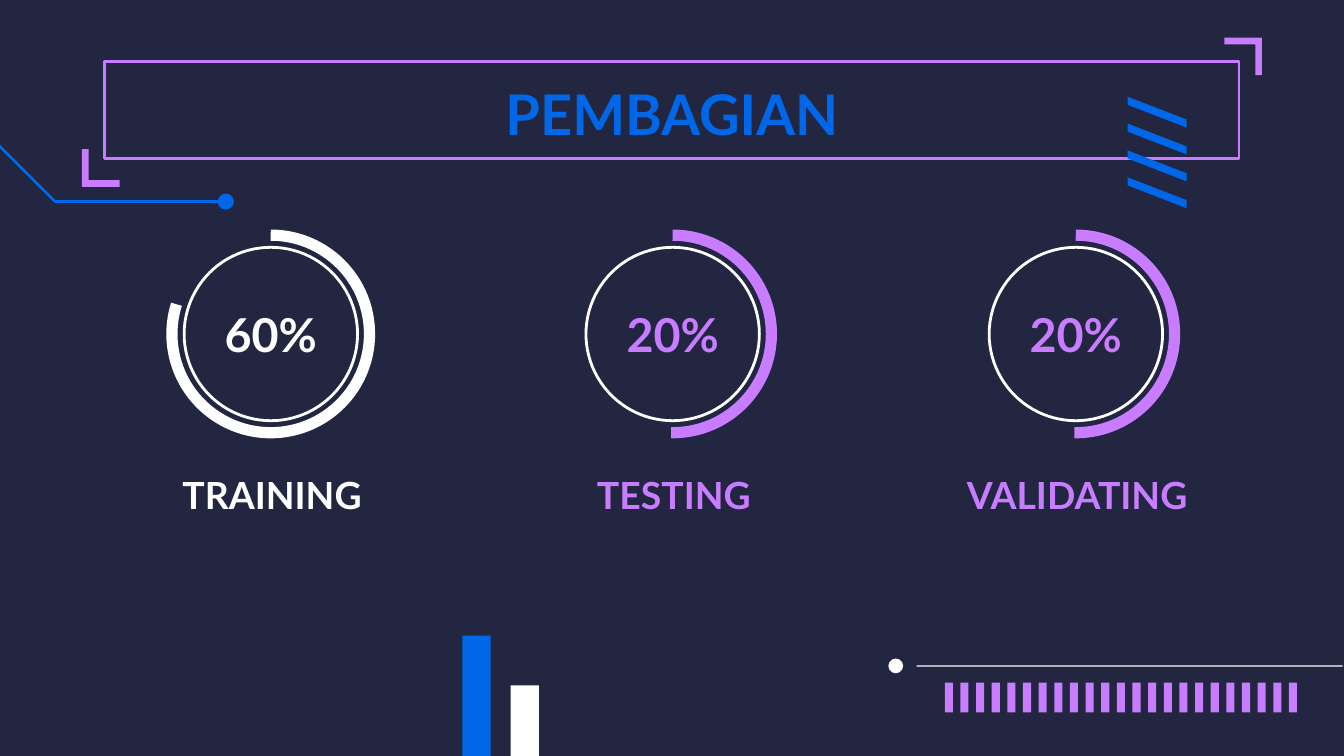
from pptx import Presentation
from pptx import util as u
from pptx.dml.color import RGBColor
from pptx.enum import shapes, text

Inches = u.Inches
COLORS = {"night": "222640", "blue": "0068E8", "violet": "C87CFF", "white": "FFFFFF"}
KIND = shapes.MSO_SHAPE
ANCHOR = text.MSO_ANCHOR


def paint(sp, fill=None, line=None, width=1.5):
    sp.shadow.inherit = False
    if fill:
        sp.fill.solid()
        sp.fill.fore_color.rgb = RGBColor.from_string(COLORS[fill])
    else:
        sp.fill.background()
    if line:
        sp.line.color.rgb = RGBColor.from_string(COLORS[line])
        sp.line.width = u.Pt(width)
    else:
        sp.line.fill.background()


def add_text(words, box, size, color, anchor=ANCHOR.TOP):
    tf = s.shapes.add_textbox(*map(Inches, box)).text_frame
    tf.word_wrap = True
    tf.vertical_anchor = anchor
    tf.margin_left = tf.margin_right = tf.margin_top = tf.margin_bottom = Inches(0.1)
    p = tf.paragraphs[0]
    p.alignment = text.PP_ALIGN.CENTER
    r = p.add_run()
    r.text = words
    r.font.name = "Lato"
    r.font.size = u.Pt(size)
    r.font.bold = True
    r.font.color.rgb = RGBColor.from_string(COLORS[color])


prs = Presentation()
prs.slide_width, prs.slide_height = Inches(10), Inches(10 * 9 / 16)
s = prs.slides.add_slide(prs.slide_layouts[6])
s.background.fill.solid()
s.background.fill.fore_color.rgb = RGBColor.from_string(COLORS["night"])

# Bars, dots, thin rule and title frame
for kind, box, fill, line in [
    (KIND.RECTANGLE, (3.44, 4.73, 0.21, 1.17), "blue", None),
    (KIND.RECTANGLE, (3.8, 5.1, 0.21, 1.17), "white", None),
    (KIND.OVAL, (1.62, 1.44, 0.12, 0.12), "blue", None),
    (KIND.RECTANGLE, (6.82, 4.95, 3.17, 0.01), "white", None),
    (KIND.OVAL, (6.61, 4.9, 0.11, 0.11), "white", None),
    (KIND.RECTANGLE, (0.78, 0.46, 8.44, 0.72), None, "violet"),
]:
    sp = s.shapes.add_shape(kind, *map(Inches, box))
    paint(sp, fill, line)

# Outlines made of one or more contours
tick_gap = (9.59 - 7.03) / 22
lefts = [7.03 + i * tick_gap for i in range(23)]
ticks = [[(x, 5.08), (x, 5.3), (x + 0.06, 5.3), (x + 0.06, 5.08)] for x in lefts]
tops = [0.72 + 0.2 * i for i in range(4)]
slashes = [[(8.39, y), (8.39, y + 0.06), (8.83, y + 0.23), (8.83, y + 0.17)] for y in tops]
bracket = [(0.61, 1.11), (0.61, 1.39), (0.89, 1.39), (0.89, 1.34), (0.66, 1.34), (0.66, 1.11)]
opposite = [(10 - x, 1.67 - y) for x, y in bracket]
elbow = [(-1.05, 0.04), (0.41, 1.5), (1.68, 1.5)]

for contours, fill, line in [
    ([elbow], None, "blue"),
    (ticks, "violet", None),
    ([bracket], "violet", None),
    ([opposite], "violet", None),
    (slashes, "blue", None),
]:
    builder = None
    for contour in contours:
        points = [(Inches(x), Inches(y)) for x, y in contour]
        if builder is None:
            builder = s.shapes.build_freeform(*points[0])
        else:
            builder.move_to(*points[0])
        builder.add_line_segments(points[1:], close=fill is not None)
    paint(builder.convert_to_shape(), fill, line)

add_text("PEMBAGIAN", (0.78, 0.49, 8.44, 0.63), 30, "blue")

# Dials: centre, share, label, colour, end angle of the arc
for cx, share, label, color, end in [
    (2.01, "60%", "TRAINING", "white", 197.5),
    (5, "20%", "TESTING", "violet", 90.8),
    (8, "20%", "VALIDATING", "violet", 90.8),
]:
    arc = s.shapes.add_shape(KIND.ARC, *map(Inches, (cx - 0.73, 1.75, 1.47, 1.47)))
    # Angles are stored in 1/60000 degree, adjustments in 1/100000
    arc.adjustments[0] = 270 * 0.6
    arc.adjustments[1] = end * 0.6
    paint(arc, line=color, width=6)
    ring = s.shapes.add_shape(KIND.OVAL, *map(Inches, (cx - 0.64, 1.84, 1.29, 1.29)))
    paint(ring, line="white")
    add_text(share, (cx - 0.67, 2.19, 1.35, 0.58), 25, color, ANCHOR.MIDDLE)
    add_text(label, (cx - 1.22, 3.37, 2.47, 0.58), 20, color, ANCHOR.BOTTOM)

prs.save("out.pptx")
